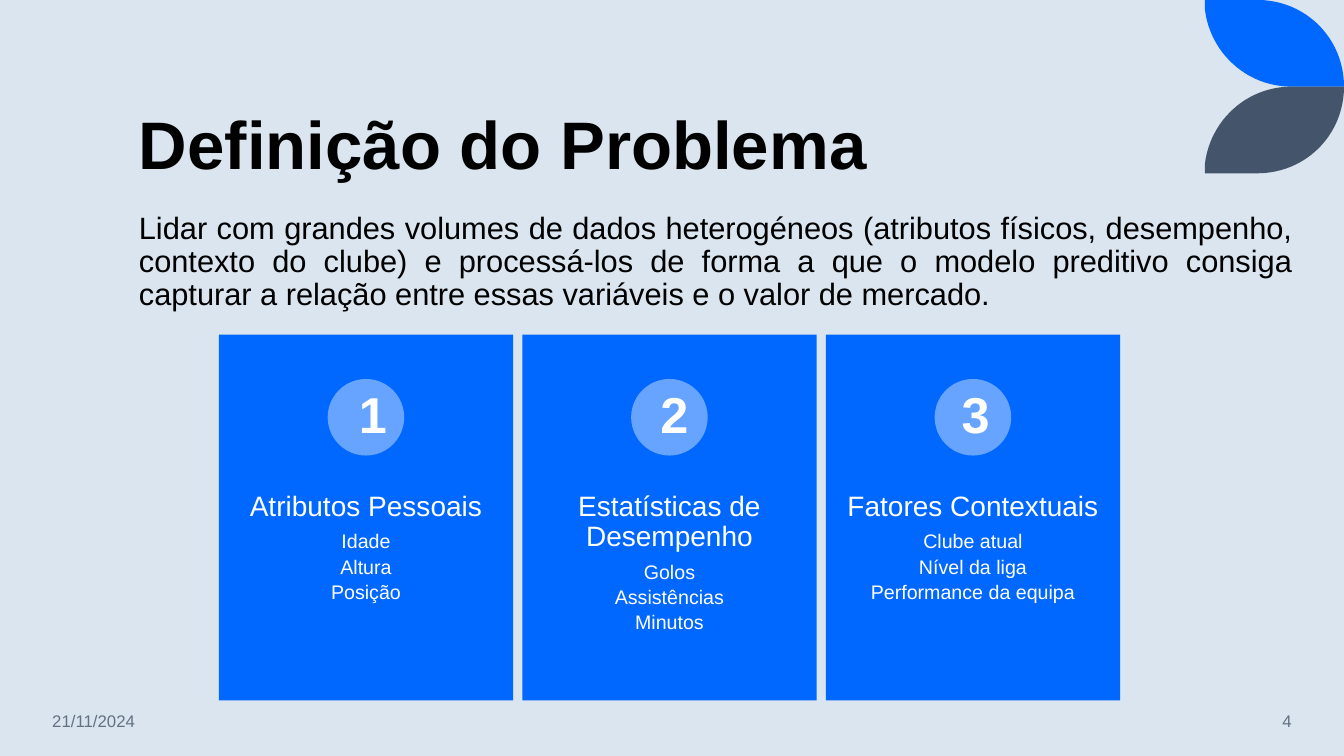
from pptx import Presentation
from pptx.dml.color import RGBColor
from pptx.enum.shapes import MSO_SHAPE
from pptx.enum.text import MSO_ANCHOR, PP_ALIGN
from pptx.util import Inches, Pt

LEFT, CENTER, RIGHT, JUSTIFY = PP_ALIGN.LEFT, PP_ALIGN.CENTER, PP_ALIGN.RIGHT, PP_ALIGN.JUSTIFY
TOP, MIDDLE, BOTTOM = MSO_ANCHOR.TOP, MSO_ANCHOR.MIDDLE, MSO_ANCHOR.BOTTOM
RECTANGLE, OVAL = MSO_SHAPE.RECTANGLE, MSO_SHAPE.OVAL

COLORS = {
    "background": "DAE5EF", "blue": "0068FF", "slate": "44546A", "light_blue": "66A4FF",
    "black": "000000", "white": "FFFFFF", "footer": "637183",
}

prs = Presentation()
prs.slide_width, prs.slide_height = Inches(13.33), Inches(7.5)
slide = prs.slides.add_slide(prs.slide_layouts[6])
slide.background.fill.solid()
slide.background.fill.fore_color.rgb = RGBColor.from_string(COLORS["background"])


def paint(shape, color):
    shape.fill.solid()
    shape.fill.fore_color.rgb = RGBColor.from_string(COLORS[color])
    shape.line.fill.background()
    shape.shadow.inherit = False


def add_text(box, lines, color="black", anchor=TOP, inset=None, bold=False, **spacing):
    """Each line is (text, size, alignment, space after)."""
    frame = slide.shapes.add_textbox(*map(Inches, box)).text_frame
    frame.word_wrap = True
    frame.vertical_anchor = anchor
    if inset is not None:
        for side in ("left", "top", "right", "bottom"):
            setattr(frame, f"margin_{side}", Inches(inset))
    for index, (text, size, alignment, after) in enumerate(lines):
        paragraph = frame.paragraphs[0] if index == 0 else frame.add_paragraph()
        paragraph.alignment = alignment
        paragraph.space_after = Pt(after)
        for name, value in spacing.items():
            setattr(paragraph, name, value)
        run = paragraph.add_run()
        run.text = text
        run.font.name, run.font.size, run.font.bold = "Arial", Pt(size), bold
        run.font.color.rgb = RGBColor.from_string(COLORS[color])


# Corner leaves: the lower one mirrors the upper one
LEAF_CURVES = [
    [(12.47, 0), (12.95, 0), (13.33, 0.38), (13.33, 0.86)],
    [(12.81, 0.86), (12.36, 0.86), (12, 0.52), (11.95, 0.09)],
]
STEPS = 24
leaf = [(11.95, 0)]
for curve in LEAF_CURVES:
    for step in range(STEPS + 1):
        t = step / STEPS
        weights = ((1 - t) ** 3, 3 * t * (1 - t) ** 2, 3 * t * t * (1 - t), t ** 3)
        leaf.append(tuple(sum(w * point[axis] for w, point in zip(weights, curve))
                          for axis in (0, 1)))
for color, mirrored in (("blue", False), ("slate", True)):
    outline = [(Inches(x), Inches(1.72 - y if mirrored else y)) for x, y in leaf]
    builder = slide.shapes.build_freeform(*outline[0])
    builder.add_line_segments(outline[1:], close=True)
    paint(builder.convert_to_shape(), color)

# Title and introduction
add_text((1.28, 0.15, 10.91, 1.72), [("Definição do Problema", 48, LEFT, 0)],
         anchor=BOTTOM, bold=True, line_spacing=0.9)
introduction = (
    "Lidar com grandes volumes de dados heterogéneos (atributos físicos, desempenho, "
    "contexto do clube) e processá-los de forma a que o modelo preditivo consiga "
    "capturar a relação entre essas variáveis e o valor de mercado."
)
add_text((1.28, 2.06, 11.64, 1.09), [(introduction, 22, JUSTIFY, 0)],
         line_spacing=0.9, space_before=Pt(10))

# Numbered cards
CARDS = [
    ("Atributos Pessoais", ["Idade", "Altura", "Posição"]),
    ("Estatísticas de Desempenho", ["Golos", "Assistências", "Minutos"]),
    ("Fatores Contextuais", ["Clube atual", "Nível da liga", "Performance da equipa"]),
]
for index, (heading, factors) in enumerate(CARDS):
    left = 2.17 + 3.01 * index
    for kind, box, color in (
        (RECTANGLE, (left, 3.32, 2.92, 3.63), "blue"),
        (OVAL, (left + 1.08, 3.76, 0.76, 0.76), "light_blue"),
    ):
        paint(slide.shapes.add_shape(kind, *map(Inches, box)), color)
    add_text((left, 4.77, 2.92, 1.45),
             [(heading, 20, CENTER, 7)] + [(factor, 14, CENTER, 3) for factor in factors],
             "white", inset=0.11, line_spacing=0.9)
    add_text((3.46 + 2.99 * index, 3.75, 0.38, 0.71),
             [(str(index + 1), 36, CENTER, 0)], "white", bold=True)

# Footer
add_text((0.42, 6.95, 1.86, 0.4), [("21/11/2024", 12, LEFT, 0)], "footer", MIDDLE)
add_text((11.1, 6.95, 1.81, 0.4), [("4", 12, RIGHT, 0)], "footer", MIDDLE)

prs.save("out.pptx")
